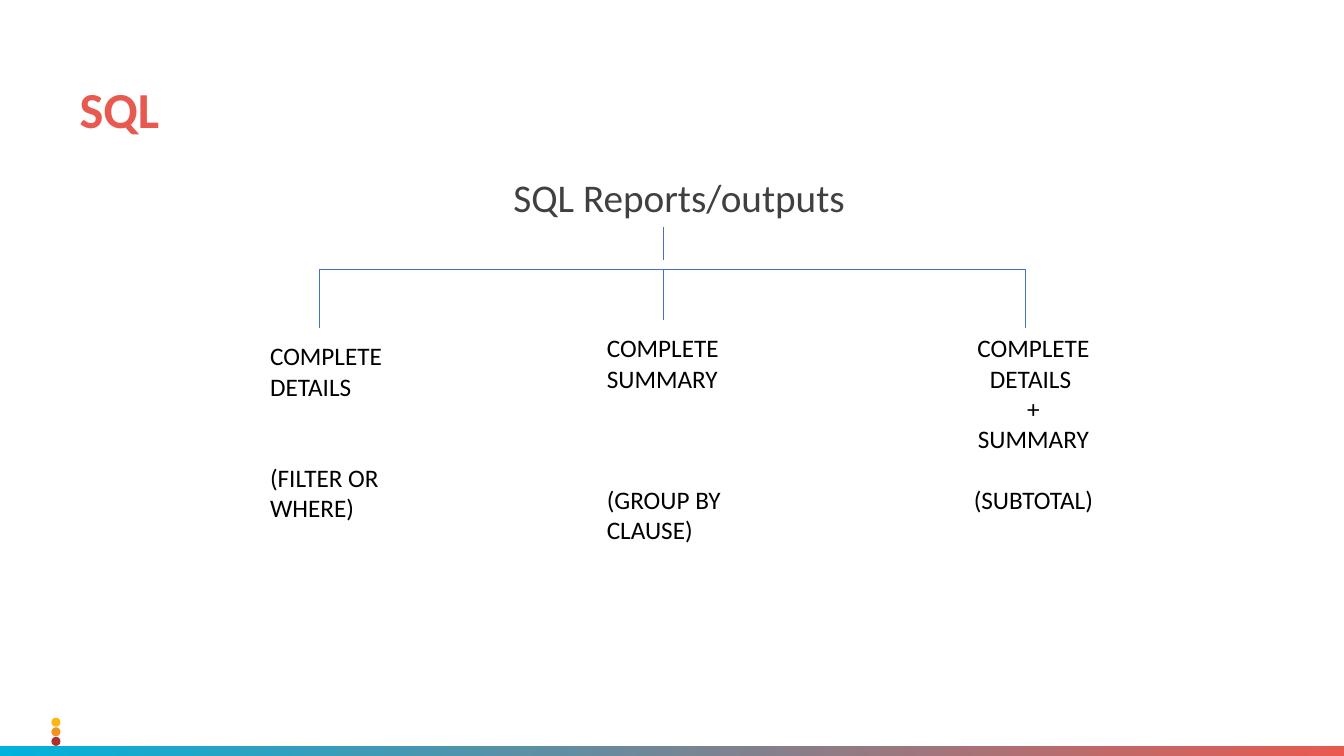
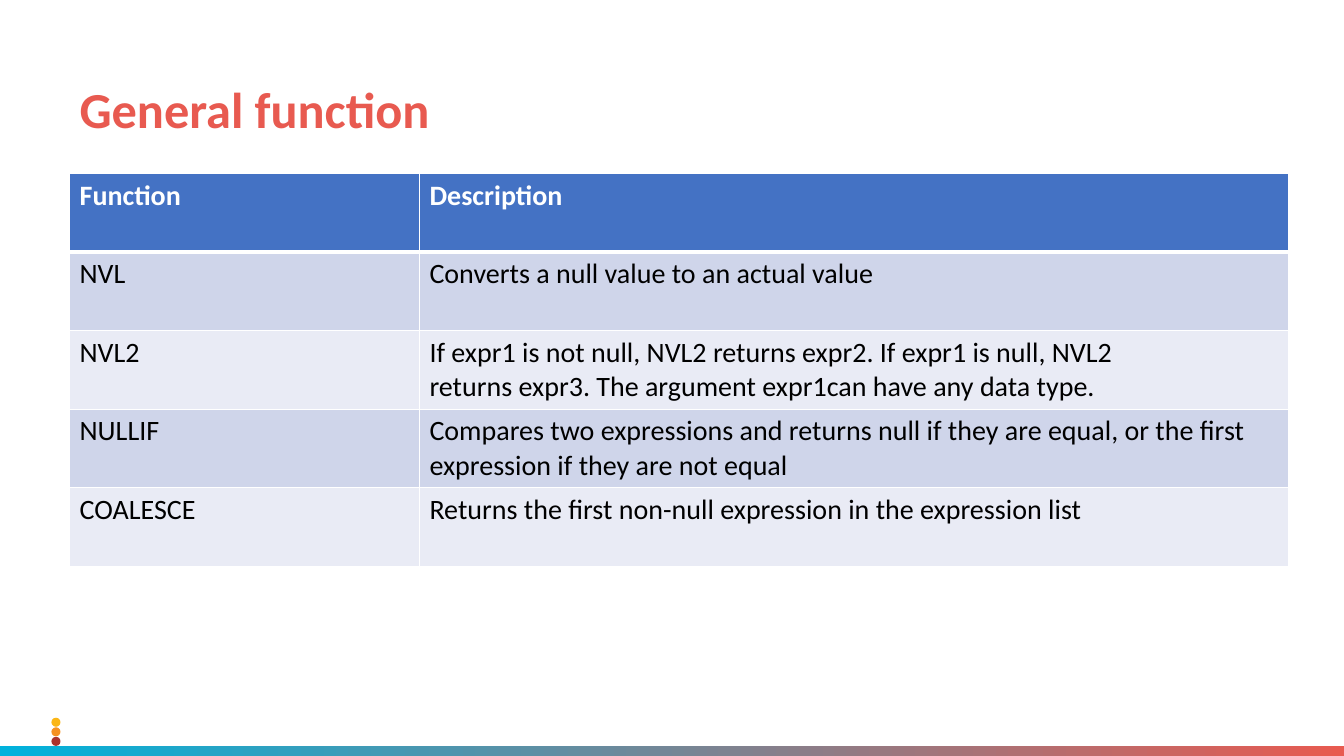
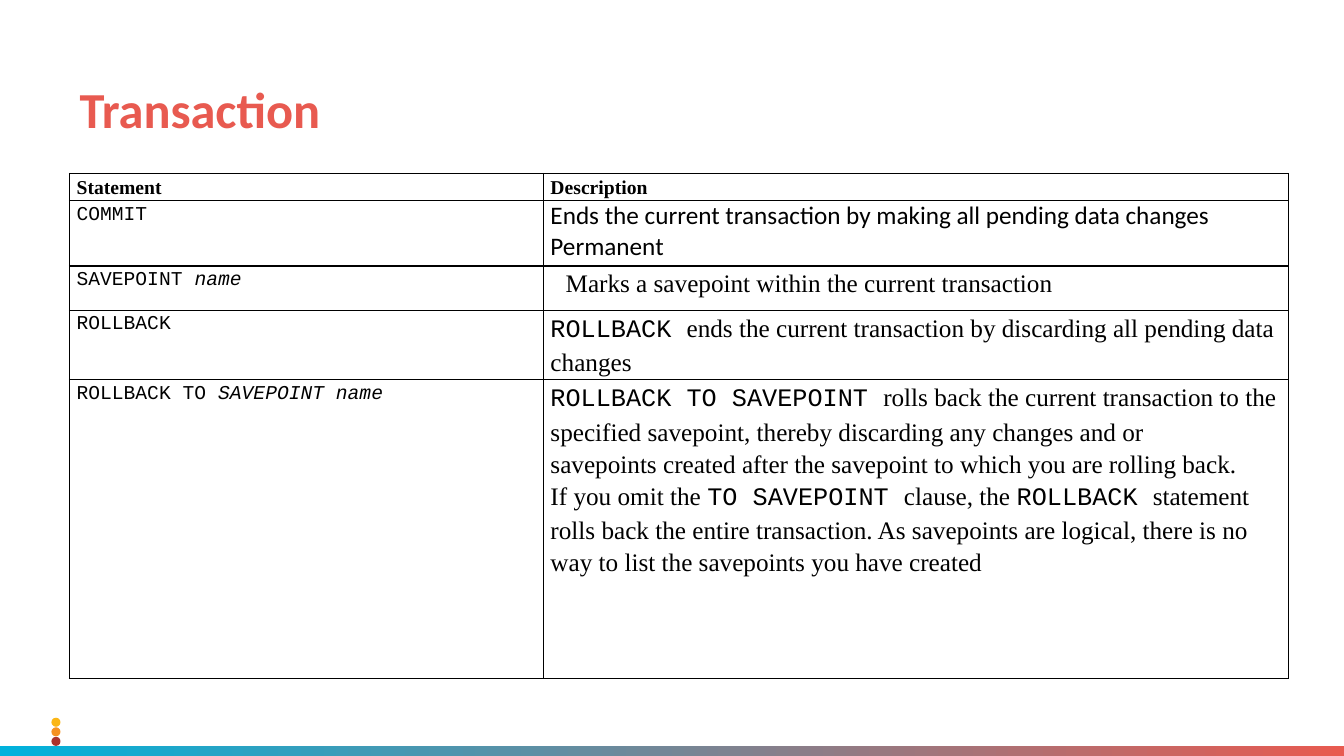
"""Builds three slides on SQL reports, general functions and transactions."""
import typing

import lxml.etree
import pptx
import pptx.dml.color
import pptx.enum.shapes
import pptx.enum.text
import pptx.oxml.ns
import pptx.util

Inches = pptx.util.Inches
Pt = pptx.util.Pt
RGBColor = pptx.dml.color.RGBColor
Shape = pptx.enum.shapes.MSO_SHAPE
Align = pptx.enum.text.PP_ALIGN
qn = pptx.oxml.ns.qn

CORAL = RGBColor(0xE8, 0x5A, 0x50)
CYAN = RGBColor(0x00, 0xB2, 0xDC)
DOTS = (RGBColor(0xFB, 0xB6, 0x15), RGBColor(0xF5, 0x91, 0x20), RGBColor(0xAC, 0x32, 0x2C))
GREY = RGBColor(0x40, 0x40, 0x40)
BLUE = RGBColor(0x44, 0x72, 0xC4)
BANDS = (RGBColor(0xE9, 0xEB, 0xF5), RGBColor(0xCF, 0xD5, 0xEA))
BLACK = RGBColor(0, 0, 0)
WHITE = RGBColor(0xFF, 0xFF, 0xFF)

WIDTH, LEFT, TOP, SPAN = 13.33, 0.69, 1.72, 12.09
LINE = 21.7


class Style(typing.NamedTuple):
    """Holds the look of a run."""
    size: float
    face: str = "Calibri"
    color: RGBColor = BLACK
    bold: bool = False
    slant: bool = False


TITLE = Style(36, color=CORAL, bold=True)
LEAD = Style(28, color=GREY)
BODY = Style(18)
HEAD = Style(20, color=WHITE, bold=True)
ITEM = Style(20)
LABEL = Style(14, "Times New Roman", bold=True)
CODE = Style(14, "Courier New")
NAME = Style(14, "Courier New", slant=True)
MONO = Style(18, "Courier New")
SERIF = Style(18, "Times New Roman")


class Deck:
    """Holds the style and the current slide."""

    def __init__(self):
        self.show = pptx.Presentation()
        self.show.slide_width = Inches(WIDTH)
        self.show.slide_height = Inches(7.5)
        self.blank = self.show.slide_layouts[6]
        self.slide = None

    def start(self, title):
        first = self.slide is None
        self.slide = self.show.slides.add_slide(self.blank)
        if first:
            self.footer()
        self.text((LEFT, 0.79, SPAN, 0.74), [title], TITLE, space=0.9)

    def footer(self):
        band = self.shape(Shape.RECTANGLE, (0, 7.4, WIDTH, 0.1))
        band.fill.gradient()
        band.fill.gradient_angle = 0
        for stop, color in zip(band.fill.gradient_stops, (CYAN, CORAL)):
            stop.color.rgb = color
        parts = [band]
        for i, color in enumerate(DOTS):
            dot = self.shape(Shape.OVAL, (0.51, 7.12 + i * 0.095, 0.09, 0.09))
            dot.fill.solid()
            dot.fill.fore_color.rgb = color
            parts.append(dot)
        for part in parts:
            self.blank.shapes.element.append(part.element)

    def shape(self, kind, box):
        shape = self.slide.shapes.add_shape(kind, *map(Inches, box))
        shape.shadow.inherit = False
        shape.line.fill.background()
        return shape

    def put(self, frame, paras, style, space=None, align=None):
        for i, para in enumerate(paras):
            line = frame.paragraphs[0] if i == 0 else frame.add_paragraph()
            line.alignment = align
            line.line_spacing = space
            for words, look in [(para, style)] if isinstance(para, str) else para:
                run = line.add_run()
                run.text = words
                font = run.font
                font.name, font.size = look.face, Pt(look.size)
                font.bold, font.italic = look.bold, look.slant
                font.color.rgb = look.color

    def text(self, box, paras, style, space=None, align=None):
        frame = self.slide.shapes.add_textbox(*map(Inches, box)).text_frame
        frame.word_wrap = True
        self.put(frame, paras, style, space, align)
        return frame

    def line(self, x1, y1, x2, y2):
        kind = pptx.enum.shapes.MSO_CONNECTOR.STRAIGHT
        line = self.slide.shapes.add_connector(kind, *map(Inches, (x1, y1, x2, y2)))
        line.line.color.rgb = BLUE
        line.line.width = Pt(0.5)
        lxml.etree.SubElement(line.element.spPr, qn("a:effectLst"))

    def table(self, cols, rows):
        box = (LEFT, TOP, SPAN, sum(rows))
        grid = self.slide.shapes.add_table(len(rows), len(cols), *map(Inches, box)).table
        grid.first_row = grid.horz_banding = False
        for col, wide in zip(grid.columns, cols):
            col.width = Inches(wide)
        for row, high in zip(grid.rows, rows):
            row.height = Inches(high)
        return grid

    def border(self, cell, color, top=1, foot=1):
        props = cell._tc.get_or_add_tcPr()
        for side, wide in zip("LRTB", (1, 1, top, foot)):
            edge = lxml.etree.SubElement(props, qn("a:ln" + side), w=str(Pt(wide)))
            fill = lxml.etree.SubElement(edge, qn("a:solidFill"))
            lxml.etree.SubElement(fill, qn("a:srgbClr"), val=str(color))


def reports(deck):
    deck.start("SQL")
    deck.text((LEFT, TOP, SPAN, 0.6), ["SQL Reports/outputs"], LEAD, 0.9, Align.CENTER)
    left, mid, right, bar = 3.17, 6.58, 10.17, 2.67
    deck.line(mid, 2.25, mid, 2.58)
    deck.line(left, bar, right, bar)
    for x, end in ((left, 3.25), (mid, 3.17), (right, 3.25)):
        deck.line(x, bar, x, end)
    leaves = (
        ((2.58, 3.33, 1.58, 1.92), ["COMPLETE DETAILS", "(FILTER OR", "WHERE)"], 1, 2, None),
        ((5.92, 3.25, 1.92, 2.22), ["COMPLETE SUMMARY", "(GROUP BY CLAUSE)"], 1, 3, None),
        ((9.5, 3.25, 1.5, 2.22), ["COMPLETE DETAILS ", "+", "SUMMARY", "(SUBTOTAL)"],
         3, 1, Align.CENTER),
    )
    for box, paras, note, gap, align in leaves:
        frame = deck.text(box, paras, BODY, align=align)
        frame.paragraphs[note].space_before = Pt(gap * LINE)


def general(deck):
    deck.start("General function")
    rows = (
        ("Function", ["Description"]),
        ("NVL", ["Converts a null value to an actual value"]),
        ("NVL2", ["If expr1 is not null, NVL2 returns expr2. If expr1 is null, NVL2",
                  "returns expr3. The argument expr1can have any data type."]),
        ("NULLIF", ["Compares two expressions and returns null if they are equal, or the first",
                    "expression if they are not equal"]),
        ("COALESCE", ["Returns the first non-null expression in the expression list"]),
    )
    grid = deck.table((3.47, 8.62), [0.78] * len(rows))
    for r, (name, about) in enumerate(rows):
        for cell, paras in zip(grid.rows[r].cells, ([name], about)):
            deck.border(cell, WHITE, 3 if r == 1 else 1, 3 if r == 0 else 1)
            cell.fill.solid()
            cell.fill.fore_color.rgb = BANDS[r % 2] if r else BLUE
            deck.put(cell.text_frame, paras, ITEM if r else HEAD)


def control(deck):
    deck.start("Transaction")
    ends = "Ends the current transaction by making all pending data changes Permanent"
    rows = (
        ([[("Statement", LABEL)]], [[("Description", LABEL)]]),
        (["COMMIT"], [[(ends, BODY)]]),
        ([[("SAVEPOINT ", CODE), ("name", NAME)]],
         [[(" ", MONO), ("Marks a savepoint within the current transaction", SERIF)]]),
        (["ROLLBACK"],
         [[("ROLLBACK ", MONO),
           ("ends the current transaction by discarding all pending data changes", SERIF)]]),
        ([[("ROLLBACK TO", CODE), (" SAVEPOINT name", NAME)]],
         [[("ROLLBACK TO SAVEPOINT ", MONO),
           ("rolls back the current transaction to the specified savepoint, "
            "thereby discarding any changes and or", SERIF)],
          [("savepoints created after the savepoint to which you are rolling back.", SERIF)],
          [("If you omit the ", SERIF), ("TO SAVEPOINT ", MONO), ("clause, the ", SERIF),
           ("ROLLBACK ", MONO), ("statement", SERIF)],
          [("rolls back the entire transaction. As savepoints are logical, "
            "there is no way to list the savepoints you have created", SERIF)]]),
    )
    grid = deck.table((4.7, 7.39), (0.25, 0.65, 0.44, 0.66, 2.96))
    for r, row in enumerate(rows):
        for c, (cell, paras) in enumerate(zip(grid.rows[r].cells, row)):
            cell.margin_left = cell.margin_right = Inches(0.07)
            cell.margin_top = cell.margin_bottom = 0
            deck.border(cell, BLACK)
            cell.fill.background()
            deck.put(cell.text_frame, paras, CODE, None if (r, c) == (1, 1) else 1.15)


def main():
    deck = Deck()
    for build in (reports, general, control):
        build(deck)
    deck.show.save("out.pptx")


if __name__ == "__main__":
    main()
